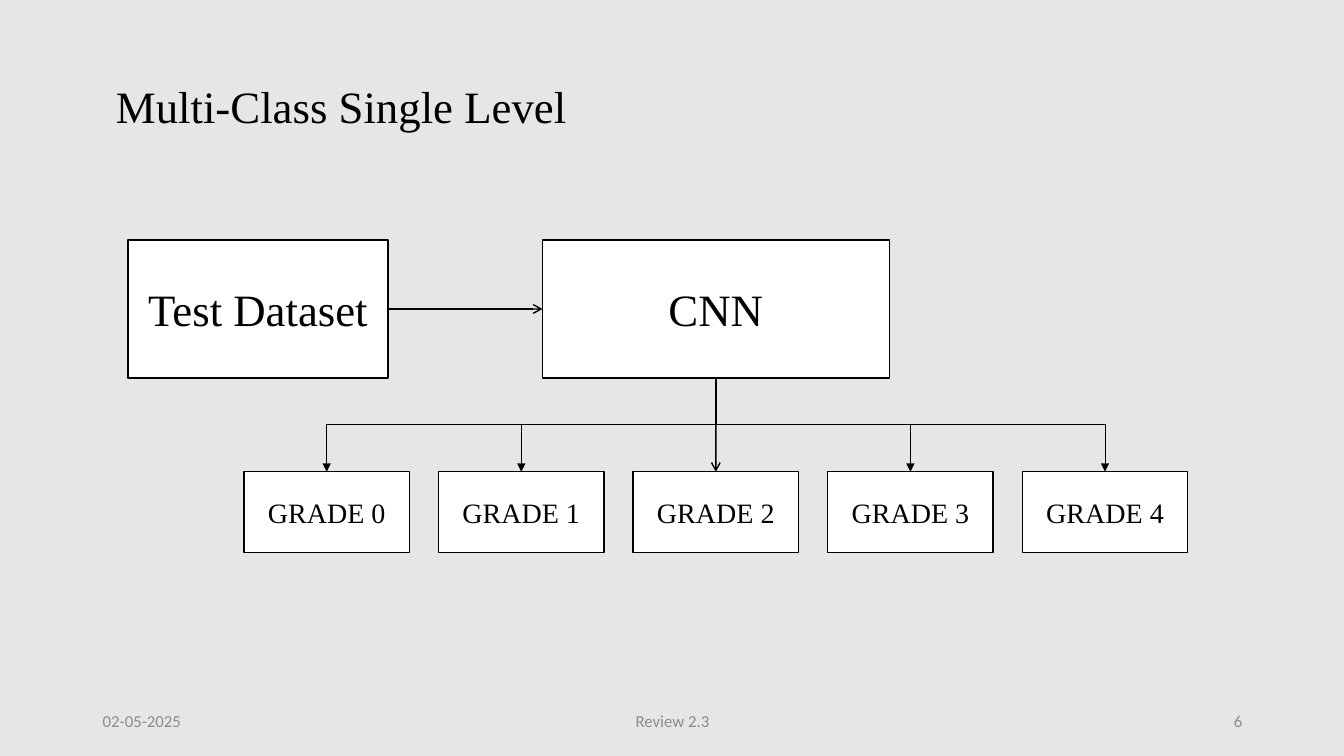
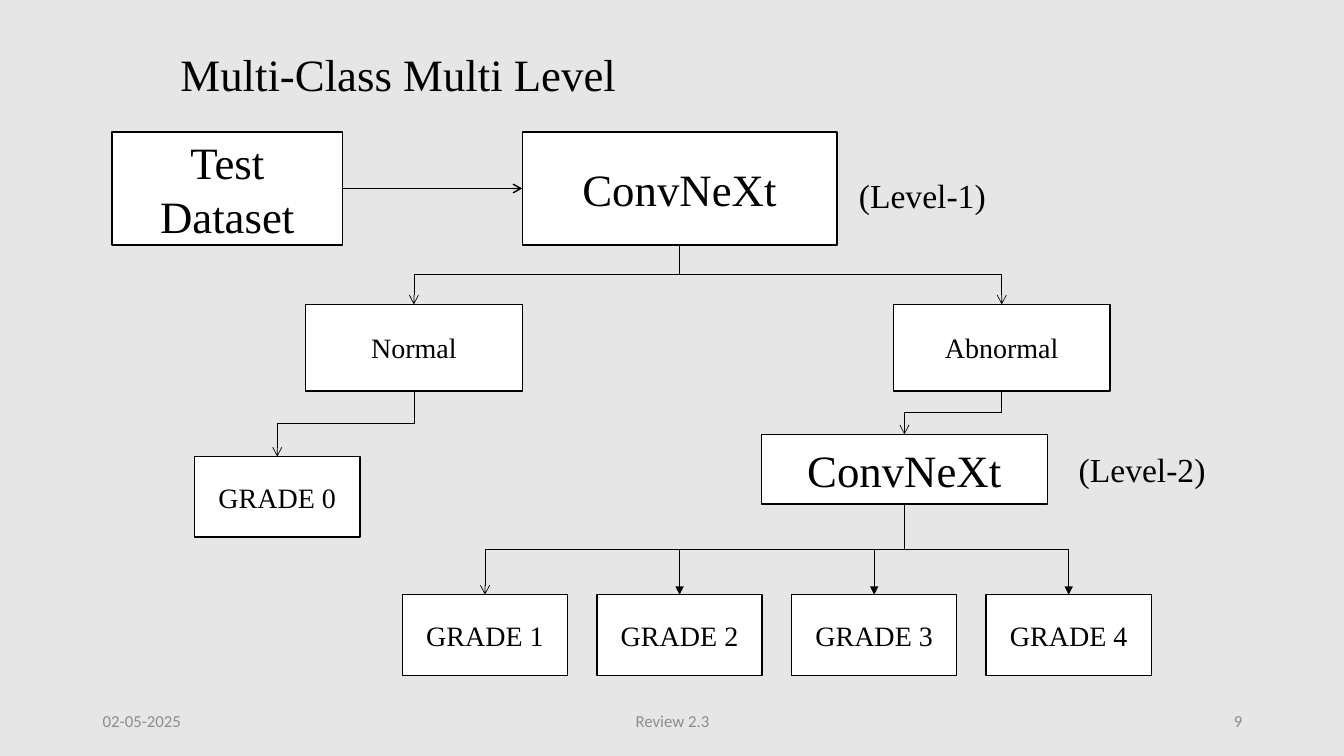
"""Build two flow-chart slides on single-level and multi-level grading."""
from lxml.etree import SubElement
from pptx import Presentation
from pptx.dml.color import RGBColor
from pptx.enum.shapes import MSO_CONNECTOR, MSO_SHAPE
from pptx.enum.text import MSO_ANCHOR, MSO_AUTO_SIZE, PP_ALIGN
from pptx.oxml.ns import qn
from pptx.util import Inches, Pt

BACKDROP = RGBColor(0xE7, 0xE6, 0xE6)
WHITE = RGBColor(0xFF, 0xFF, 0xFF)
BLACK = RGBColor(0x00, 0x00, 0x00)
GREY = RGBColor(0x8C, 0x8C, 0x8C)
SERIF, SANS = "Times New Roman", "Calibri"
LARGE, MEDIUM, SMALL, TINY = 32, 24, 20, 12

GRADE_SIZE = (1.64, 0.8)
GRADE_PITCH = 1.93
TOP, LEFT, BOTTOM, RIGHT = range(4)
DATE, REVIEW = "02-05-2025", "Review 2.3"


def grade_row(first, last, left, top):
    """Return evenly spaced grade boxes keyed by grade."""
    return {
        f"grade{grade}": (f"GRADE {grade}", left + index * GRADE_PITCH, top, *GRADE_SIZE, SMALL)
        for index, grade in enumerate(range(first, last + 1))
    }


SLIDES = [
    {
        "title": ("Multi-Class Single Level", 1.05, 0.73),
        "number": "6",
        "boxes": {
            "dataset": ("Test Dataset", 1.27, 2.38, 2.58, 1.37, LARGE),
            "cnn": ("CNN", 5.38, 2.38, 3.44, 1.37, LARGE),
            **grade_row(0, 4, 2.42, 4.68),
        },
        "links": [
            ("dataset", "cnn", "arrow"),
            ("cnn", "grade0", "triangle"),
            ("cnn", "grade1", "triangle"),
            ("cnn", "grade2", "arrow"),
            ("cnn", "grade3", "triangle"),
            ("cnn", "grade4", "triangle"),
        ],
        "levels": [],
    },
    {
        "title": ("Multi-Class Multi Level", 1.69, 0.41),
        "number": "9",
        "boxes": {
            "dataset": ("Test Dataset", 1.11, 1.31, 2.29, 1.12, LARGE),
            "level1": ("ConvNeXt", 5.18, 1.31, 3.12, 1.12, LARGE),
            "normal": ("Normal", 3.03, 3.02, 2.15, 0.86, SMALL),
            "abnormal": ("Abnormal", 8.86, 3.02, 2.15, 0.86, SMALL),
            "level2": ("ConvNeXt", 7.55, 4.31, 2.84, 0.69, LARGE),
            **grade_row(0, 0, 1.93, 4.53),
            **grade_row(1, 4, 3.99, 5.9),
        },
        "links": [
            ("dataset", "level1", "arrow"),
            ("level1", "normal", "arrow"),
            ("level1", "abnormal", "arrow"),
            ("normal", "grade0", "arrow"),
            ("abnormal", "level2", "arrow"),
            ("level2", "grade1", "arrow"),
            ("level2", "grade2", "triangle"),
            ("level2", "grade3", "triangle"),
            ("level2", "grade4", "triangle"),
        ],
        "levels": [("(Level-1)", 8.42, 1.69), ("(Level-2)", 10.6, 4.4)],
    },
]


def write(shape, text, size, align=PP_ALIGN.LEFT, anchor=MSO_ANCHOR.TOP, font=SERIF, color=BLACK):
    """Fill a shape with one formatted run."""
    frame = shape.text_frame
    frame.word_wrap = True
    frame.auto_size = MSO_AUTO_SIZE.NONE
    frame.vertical_anchor = anchor
    paragraph = frame.paragraphs[0]
    paragraph.alignment = align
    run = paragraph.add_run()
    run.text = text
    run.font.size = Pt(size)
    run.font.name = font
    run.font.color.rgb = color


def add_box(slide, text, left, top, width, height, size):
    """Add a white, outlined box with centred text."""
    box = slide.shapes.add_shape(
        MSO_SHAPE.RECTANGLE, Inches(left), Inches(top), Inches(width), Inches(height)
    )
    box.shadow.inherit = False
    box.fill.solid()
    box.fill.fore_color.rgb = WHITE
    box.line.color.rgb = BLACK
    box.line.width = Pt(1)
    write(box, text, size, PP_ALIGN.CENTER, MSO_ANCHOR.MIDDLE)
    return box


def add_label(slide, text, left, top, width, height, size, **style):
    """Add a plain text box."""
    label = slide.shapes.add_textbox(Inches(left), Inches(top), Inches(width), Inches(height))
    write(label, text, size, **style)


def turn_downward(link, source, target, shift):
    """Rotate an elbow so that it leaves and arrives vertically."""
    start_x = source.left + source.width // 2
    start_y = source.top + source.height
    drop, reach = target.top - start_y, abs(shift)
    link.left = start_x + (shift - drop) // 2
    link.top = start_y + (drop - reach) // 2
    link.width, link.height = drop, reach
    frame = link._element.spPr.get_or_add_xfrm()
    frame.set("rot", str((270 if shift > 0 else 90) * 60000))
    frame.set("flipH", "1" if shift > 0 else "0")
    frame.set("flipV", "0")


def add_link(slide, source, target, head):
    """Join two boxes sideways if they share a row, otherwise downward."""
    same_row = source.top == target.top
    shift = target.left + target.width // 2 - source.left - source.width // 2
    straight = same_row or abs(shift) < Inches(0.02)
    kind = MSO_CONNECTOR.STRAIGHT if straight else MSO_CONNECTOR.ELBOW
    link = slide.shapes.add_connector(kind, 0, 0, 0, 0)
    link.begin_connect(source, RIGHT if same_row else BOTTOM)
    link.end_connect(target, LEFT if same_row else TOP)
    if not straight:
        turn_downward(link, source, target, shift)
    link.line.color.rgb = BLACK
    link.line.width = Pt(1 if straight else 0.5)
    properties = link._element.spPr
    SubElement(properties.find(qn("a:ln")), qn("a:tailEnd"), type=head)
    SubElement(properties, qn("a:effectLst"))


def add_footer(slide, number):
    """Add the date, review name and slide number."""
    for text, left, width, align in (
        (DATE, 0.92, 3, PP_ALIGN.LEFT),
        (REVIEW, 4.42, 4.5, PP_ALIGN.CENTER),
        (number, 9.42, 3, PP_ALIGN.RIGHT),
    ):
        add_label(slide, text, left, 6.95, width, 0.4, TINY,
                  align=align, anchor=MSO_ANCHOR.MIDDLE, font=SANS, color=GREY)


def add_slide(deck, content):
    """Build one flow-chart slide."""
    slide = deck.slides.add_slide(deck.slide_layouts[5])
    text, left, top = content["title"]
    title = slide.shapes.title
    title.left, title.top = Inches(left), Inches(top)
    title.width, title.height = Inches(10), Inches(0.64)
    write(title, text, LARGE)
    boxes = {key: add_box(slide, *box) for key, box in content["boxes"].items()}
    for source, target, head in content["links"]:
        add_link(slide, boxes[source], boxes[target], head)
    for level, left, top in content["levels"]:
        add_label(slide, level, left, top, 2.18, 0.5, MEDIUM)
    add_footer(slide, content["number"])


def main():
    """Build and save the deck."""
    deck = Presentation()
    deck.slide_width, deck.slide_height = Inches(13.33), Inches(7.5)
    backdrop = deck.slide_master.background.fill
    backdrop.solid()
    backdrop.fore_color.rgb = BACKDROP
    for content in SLIDES:
        add_slide(deck, content)
    deck.save("out.pptx")


if __name__ == "__main__":
    main()
